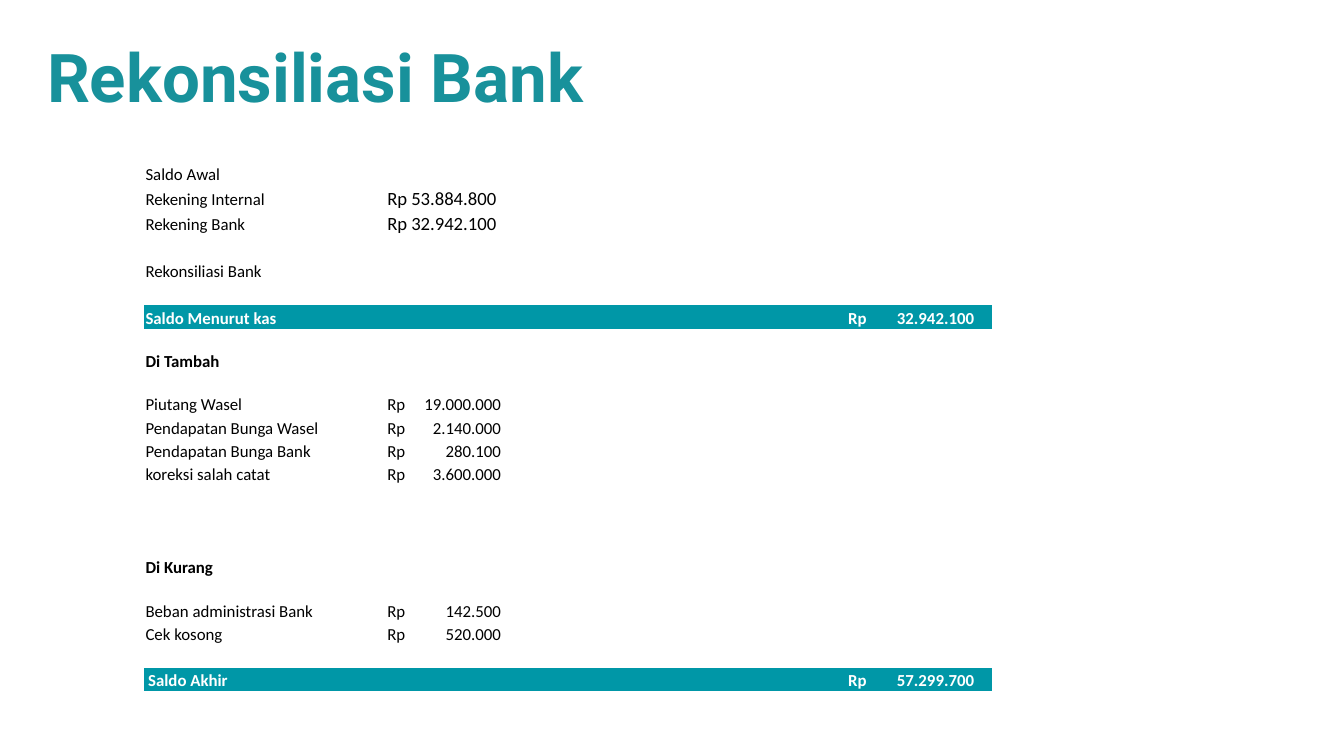
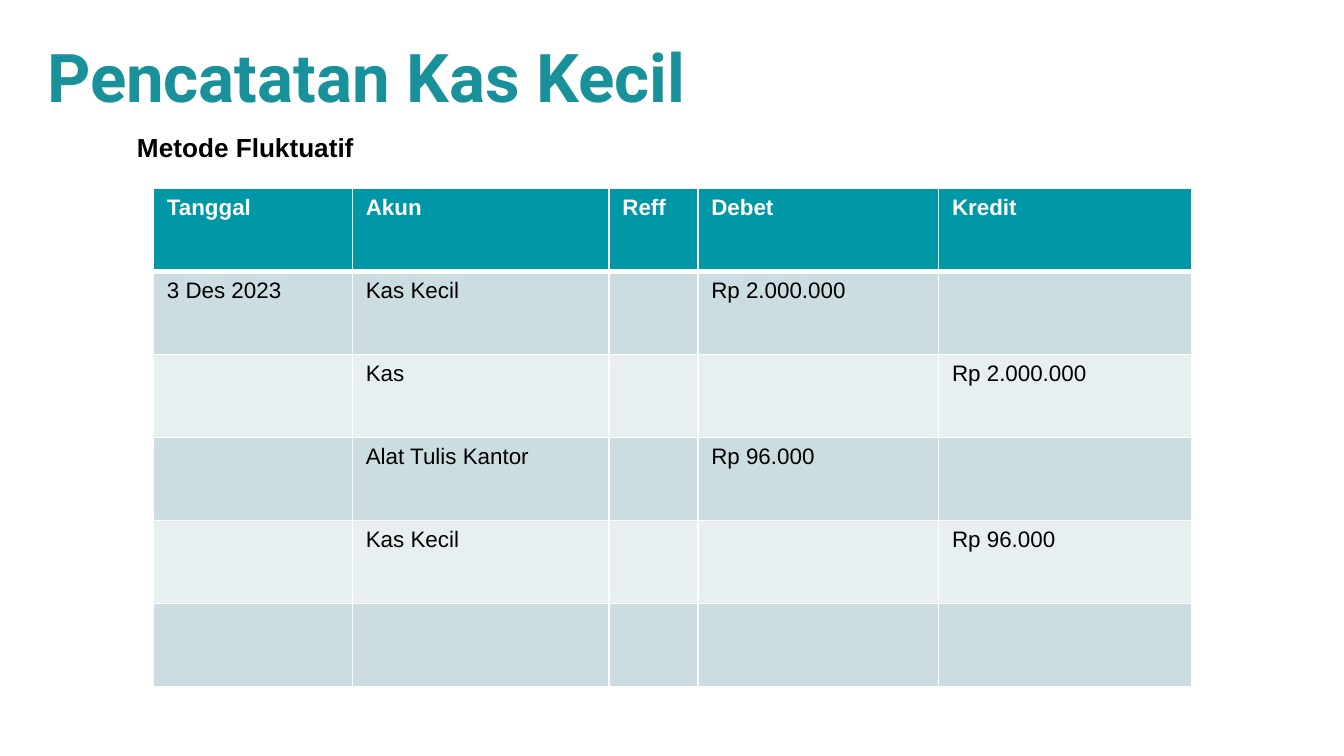
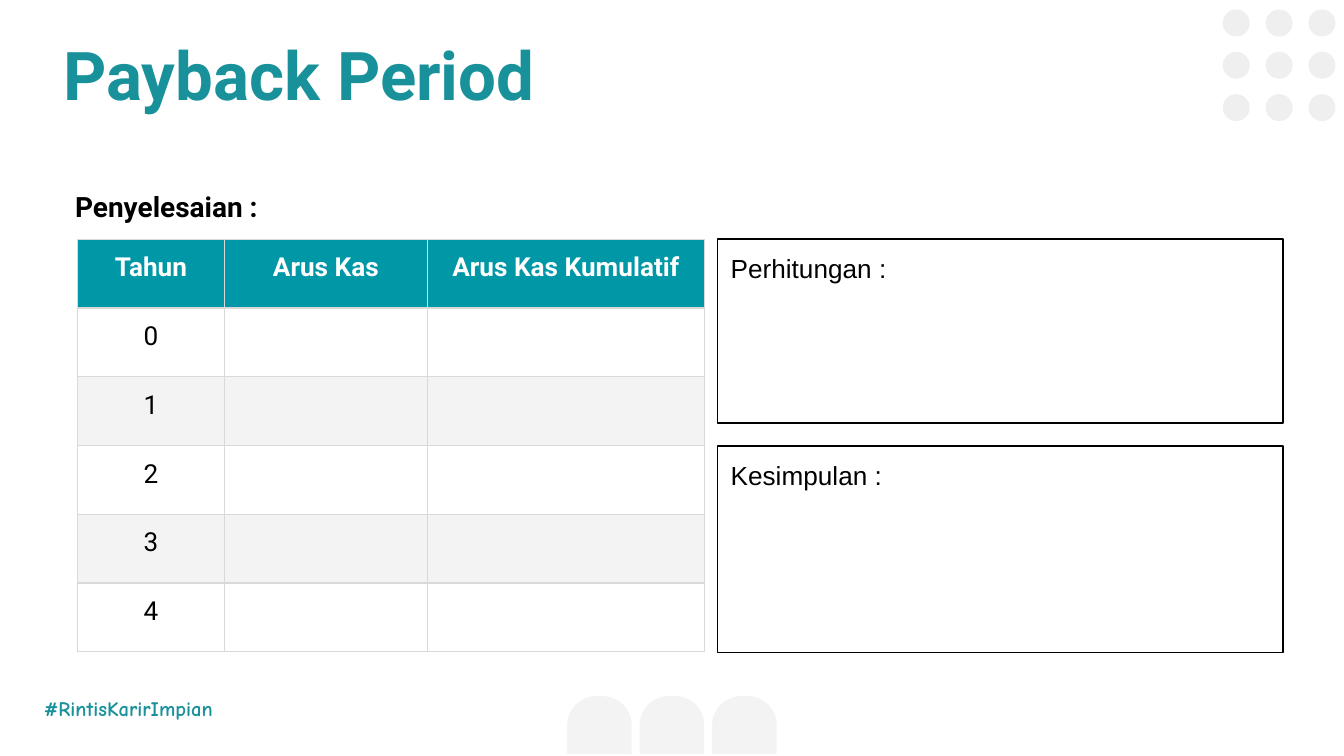
from dataclasses import dataclass

from lxml.etree import SubElement
from pptx import Presentation
from pptx.dml.color import RGBColor
from pptx.enum.shapes import MSO_SHAPE
from pptx.enum.text import MSO_ANCHOR, MSO_AUTO_SIZE, PP_ALIGN
from pptx.oxml.ns import qn
from pptx.util import Cm, Pt

NO_STYLE = "{2D5ABB26-0587-4C30-8999-92F81FD0307C}"


@dataclass(frozen=True)
class Theme:
    # Colours
    title: str = "18919B"
    band: str = "0097A7"
    text: str = "000000"
    white: str = "FFFFFF"
    stripe_dark: str = "CCDDE1"
    stripe_light: str = "E7EFF1"
    grey: str = "F3F3F3"
    dot: str = "EFEFEF"
    grid: str = "D9D9D9"
    # Fonts
    head_font: str = "Roboto"
    body_font: str = "Arial"
    ledger_font: str = "Calibri"
    tag_font: str = "Comic Neue"
    # Type sizes
    title_size: float = 36
    subtitle_size: float = 15
    box_size: float = 14
    journal_size: float = 12
    tag_size: float = 11
    opening_size: float = 10
    ledger_size: float = 9


class Deck:
    """Holds the theme and the slide being filled."""

    def __init__(self, theme):
        self.theme = theme
        self.prs = Presentation()
        self.prs.slide_width, self.prs.slide_height = Cm(25.4), Cm(14.29)
        self.s = None

    def slide(self, title, left=0.86, top=0.66):
        t = self.theme
        self.s = self.prs.slides.add_slide(self.prs.slide_layouts[5])
        sp = self.s.shapes.title
        sp.left, sp.top, sp.width, sp.height = Cm(left), Cm(top), Cm(22), Cm(1.57)
        self.frame(sp.text_frame, 0)
        sp.text_frame.margin_left = Cm(0.03)
        self.add_text(sp.text_frame, title, t.title_size, t.head_font, t.title, True)

    def frame(self, tf, margin):
        tf.word_wrap = True
        tf.auto_size = MSO_AUTO_SIZE.NONE
        tf.vertical_anchor = MSO_ANCHOR.TOP
        tf.margin_left = tf.margin_right = Cm(margin)
        tf.margin_top = tf.margin_bottom = Cm(margin)

    def add_text(self, tf, text, size, font, color, bold=False,
                 align=PP_ALIGN.LEFT, tab=None):
        p = tf.paragraphs[0]
        p.alignment = align
        if tab:
            tabs = SubElement(p._p.get_or_add_pPr(), qn("a:tabLst"))
            SubElement(tabs, qn("a:tab"), pos=str(Cm(tab)), algn="r")
        if not text:
            p._p.get_or_add_endParaRPr().set("sz", str(int(size * 100)))
            return p
        r = p.add_run()
        r.text = text
        r.font.size, r.font.name, r.font.bold = Pt(size), font, bold
        r.font.color.rgb = RGBColor.from_string(color)
        return p

    def text_box(self, box, text, size, font, color, margin=0.25):
        sp = self.s.shapes.add_textbox(*map(Cm, box))
        self.frame(sp.text_frame, margin)
        return self.add_text(sp.text_frame, text, size, font, color, True)

    def shape(self, shapes, kind, box, fill=None, line=None):
        sp = shapes.add_shape(kind, *map(Cm, box))
        sp.shadow.inherit = False
        if fill:
            sp.fill.solid()
            sp.fill.fore_color.rgb = RGBColor.from_string(fill)
        else:
            sp.fill.background()
        if line:
            sp.line.color.rgb = RGBColor.from_string(line)
            sp.line.width = Pt(0.75)
        else:
            sp.line.fill.background()
        return sp

    def answer_box(self, box, label):
        t = self.theme
        sp = self.shape(self.s.shapes, MSO_SHAPE.RECTANGLE, box, line=t.text)
        self.frame(sp.text_frame, 0.25)
        self.add_text(sp.text_frame, label, t.box_size, t.body_font, t.text)

    def table(self, left, top, cols, rows):
        frame = self.s.shapes.add_table(len(rows), len(cols), Cm(left), Cm(top),
                                        Cm(sum(cols)), Cm(sum(rows)))
        table = frame.table
        table.first_row = table.horz_banding = False
        table._tbl.tblPr.find(qn("a:tableStyleId")).text = NO_STYLE
        for column, width in zip(table.columns, cols):
            column.width = Cm(width)
        for row, height in zip(table.rows, rows):
            row.height = Cm(height)
        return table

    def cell(self, cell, text, size, font, color, fill=None, borders=None, **style):
        tc_pr = cell._tc.get_or_add_tcPr()
        for side, (line, width) in (borders or {}).items():
            ln = SubElement(tc_pr, qn(f"a:ln{side}"), w=str(Pt(width)))
            SubElement(SubElement(ln, qn("a:solidFill")), qn("a:srgbClr"), val=line)
        if fill:
            cell.fill.solid()
            cell.fill.fore_color.rgb = RGBColor.from_string(fill)
        else:
            cell.fill.background()
        self.add_text(cell.text_frame, text, size, font, color, **style)


def bank_reconciliation(deck):
    t = deck.theme
    deck.slide("Rekonsiliasi Bank")
    # Row number: label, amount
    entries = {
        1: ("Saldo Awal", ""),
        2: ("Rekening Internal", "Rp 53.884.800"),
        3: ("Rekening Bank", "Rp 32.942.100"),
        5: ("Rekonsiliasi Bank", ""),
        7: ("Saldo Menurut kas", "Rp\t32.942.100"),
        8: ("Di Tambah", ""),
        9: ("Piutang Wasel", "Rp\t19.000.000"),
        10: ("Pendapatan Bunga Wasel", "Rp\t2.140.000"),
        11: ("Pendapatan Bunga Bank", "Rp\t280.100"),
        12: ("koreksi salah catat", "Rp\t3.600.000"),
        16: ("Di Kurang", ""),
        17: ("Beban administrasi Bank", "Rp\t142.500"),
        18: ("Cek kosong", "Rp\t520.000"),
        20: ("Saldo Akhir", "Rp\t57.299.700"),
    }
    opening, balances, headings = (2, 3), (7, 20), (8, 16)
    heights = {0: 0.48, 2: 0.48, 3: 0.48, 8: 0.82, 9: 0.82, 17: 0.82}
    table = deck.table(2.72, 2.57, [4.52, 2.59, 2.39, 2.18, 1.55, 2.79],
                       [heights.get(i, 0.44) for i in range(21)])
    for i, row in enumerate(table.rows):
        label, amount = entries.get(i, ("", ""))
        total = i in balances
        amount_col = 5 if total else 1
        for j, cell in enumerate(row.cells):
            is_amount = j == amount_col
            cell.vertical_anchor = MSO_ANCHOR.BOTTOM
            cell.margin_left = Cm(0.08 if is_amount or label == "Saldo Akhir" else 0.03)
            cell.margin_right = cell.margin_top = Cm(0.03)
            cell.margin_bottom = 0
            deck.cell(cell, label if j == 0 else amount if is_amount else "",
                      t.opening_size if i in opening and is_amount else t.ledger_size,
                      t.ledger_font, t.white if total else t.text,
                      fill=t.band if total else None, bold=total or i in headings,
                      tab=(2.38 if total else 2.15) if is_amount and amount else None)


def petty_cash(deck):
    t = deck.theme
    deck.slide("Pencatatan Kas Kecil")
    deck.text_box((2.46, 2.36, 6.83, 0.86), "Metode Fluktuatif", t.box_size,
                  t.body_font, t.text, margin=0.13)
    journal = [
        ("Tanggal", "Akun", "Reff", "Debet", "Kredit"),
        ("3 Des 2023", "Kas Kecil", "", "Rp 2.000.000", ""),
        ("", "Kas", "", "", "Rp 2.000.000"),
        ("", "Alat Tulis Kantor", "", "Rp 96.000", ""),
        ("", "Kas Kecil", "", "", "Rp 96.000"),
        ("",) * 5,
    ]
    table = deck.table(2.9, 3.56, [3.76, 4.85, 1.68, 4.55, 4.78],
                       [1.57] * len(journal))
    for i, values in enumerate(journal):
        header = i == 0
        fill = t.band if header else t.stripe_dark if i % 2 else t.stripe_light
        borders = {side: (t.white, 1) for side in "LRTB"}
        if header:
            borders["B"] = (t.white, 3)
        elif i == 1:
            borders["T"] = (t.white, 3)
        for j, value in enumerate(values):
            deck.cell(table.cell(i, j), value, t.journal_size, t.body_font,
                      t.white if header else t.text, fill, borders, bold=header)


def payback_period(deck):
    t = deck.theme
    deck.slide("Payback Period", 1.17, 0.63)

    # Arches at the foot and dots in the corner
    arches = deck.s.shapes.add_group_shape().shapes
    dots = deck.s.shapes.add_group_shape().shapes
    for i in range(3):
        arch = deck.shape(arches, MSO_SHAPE.ROUND_2_SAME_RECTANGLE,
                          (10.72 + 1.37 * i, 13.16, 1.22, 1.09), t.grey)
        arch.adjustments[0], arch.adjustments[1] = 0.5, 0
        for j in range(3):
            deck.shape(dots, MSO_SHAPE.OVAL,
                       (23.11 + 0.81 * j, 0.18 + 0.8 * i, 0.51, 0.51), t.dot)

    # Tag and subtitle
    deck.text_box((0.58, 12.9, 3.99, 0.99), "#RintisKarirImpian", t.tag_size,
                  t.tag_font, t.title)
    subtitle = deck.text_box((1.17, 3.23, 15.06, 1.14), "Penyelesaian :",
                             t.subtitle_size, t.head_font, t.text)
    subtitle.line_spacing = 1.15

    # Cash flow table
    rows = [("Tahun", "Arus Kas", "Arus Kas Kumulatif")]
    rows += [(str(year), "", "") for year in range(5)]
    table = deck.table(1.47, 4.52, [2.77, 3.84, 5.23], [1.3] * len(rows))
    borders = {side: (t.grid, 0.75) for side in "LRTB"}
    for i, values in enumerate(rows):
        header = i == 0
        fill = t.band if header else None if i % 2 else t.grey
        for j, value in enumerate(values):
            cell = table.cell(i, j)
            cell.margin_left = cell.margin_right = Cm(0.25)
            cell.margin_top = cell.margin_bottom = Cm(0.25)
            deck.cell(cell, value, t.box_size, t.head_font,
                      t.white if header else t.text, fill, borders,
                      bold=header, align=PP_ALIGN.CENTER)

    # Answer boxes
    deck.answer_box((13.56, 4.52, 10.69, 3.48), "Perhitungan :")
    deck.answer_box((13.56, 8.43, 10.69, 3.91), "Kesimpulan :")


def main():
    deck = Deck(Theme())
    bank_reconciliation(deck)
    petty_cash(deck)
    payback_period(deck)
    deck.prs.save("out.pptx")


if __name__ == "__main__":
    main()
